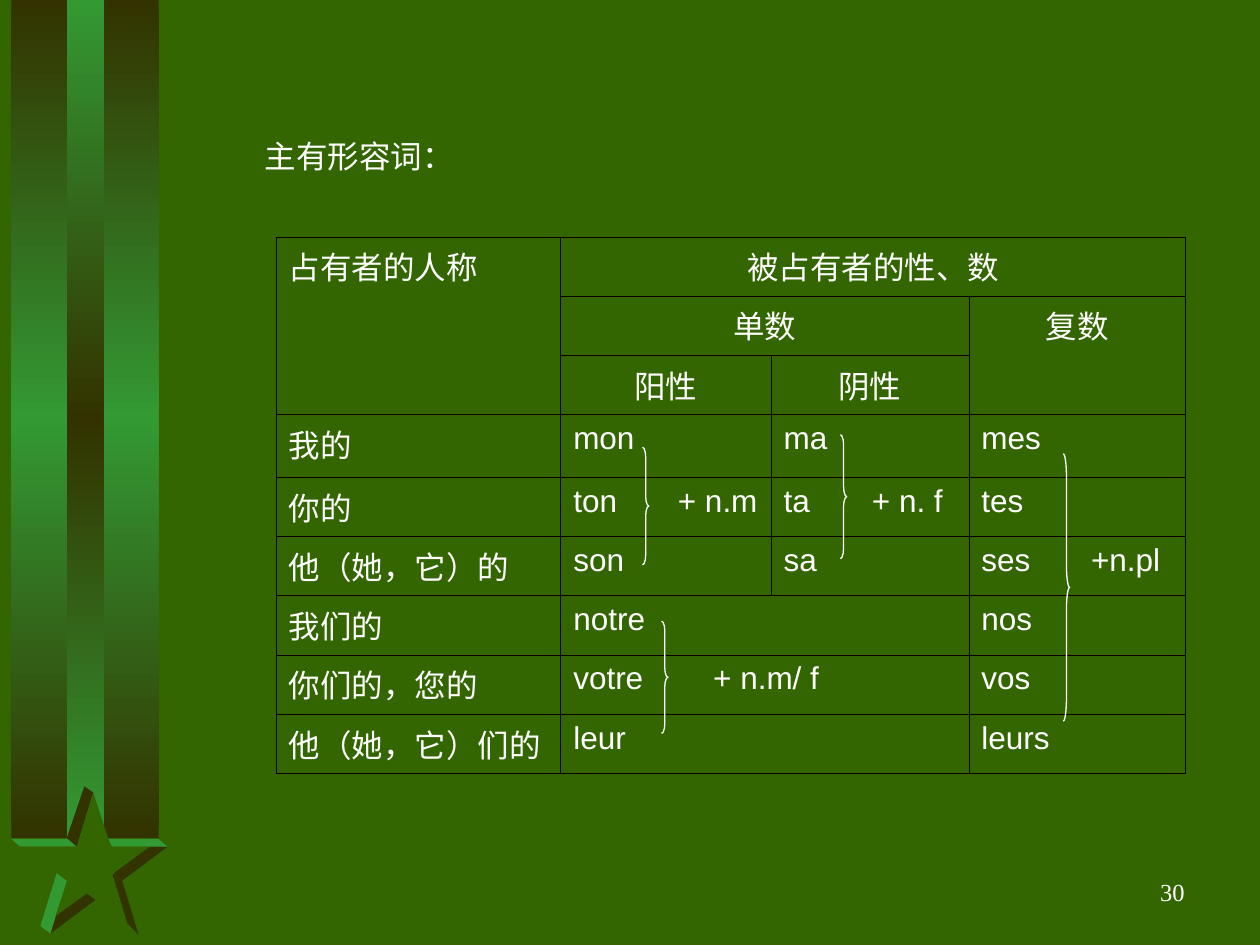
import copy

import lxml.etree
import pptx
import pptx.dml.color
import pptx.enum.shapes
import pptx.enum.text
import pptx.oxml.ns
import pptx.util

qn = pptx.oxml.ns.qn
SHAPE = pptx.enum.shapes.MSO_SHAPE
ALIGN = pptx.enum.text.PP_ALIGN
ANCHOR = pptx.enum.text.MSO_ANCHOR

GREEN, BROWN, LEAF = "336600", "333300", "339933"
WHITE, BLACK = "FFFFFF", "000000"
SERIF, SANS = "Times New Roman", "Arial"

STAR_GRID = (124, 118)
STAR_FACES = [
    (BROWN, [(81, 69), (88, 75), (124, 48), (110, 48)]),
    (LEAF, [(0, 42), (7, 48), (53, 48), (45, 42)]),
    (BROWN, [(52, 48), (65, 5), (58, 0), (44, 41)]),
    (LEAF, [(80, 48), (77, 42), (117, 42), (124, 48)]),
    (BROWN, [(24, 111), (31, 117), (67, 90), (60, 85)]),
    (BROWN, [(92, 109), (101, 118), (88, 75), (80, 69)]),
    (LEAF, [(31, 117), (44, 75), (36, 69), (23, 111)]),
    (GREEN, [(65, 5), (52, 48), (7, 48), (45, 75), (35, 103), (60, 85),
             (92, 109), (80, 70), (109, 48), (79, 48)]),
]

COLUMNS = [2.26, 1.67, 1.57, 1.72]
ROWS = [0.47] * 3 + [0.5] + [0.47] * 5
HEADER_ROWS = 3
CELLS = [
    ["占有者的人称", "被占有者的性、数", "", ""],
    ["", "单数", "", "复数"],
    ["", "阳性", "阴性", ""],
    ["我的", "mon", "ma", "mes"],
    ["你的", "ton\t+ n.m", "ta\t+ n. f", "tes"],
    ["他（她，它）的", "son", "sa", "ses\t+n.pl"],
    ["我们的", "notre", "", "nos"],
    ["你们的，您的", "votre\t+ n.m/ f", "", "vos"],
    ["他（她，它）们的", "leur", "", "leurs"],
]
MERGES = [((0, 0), (2, 0)), ((0, 1), (0, 3)), ((1, 1), (1, 2)), ((1, 3), (2, 3)),
          ((6, 1), (6, 2)), ((7, 1), (7, 2)), ((8, 1), (8, 2))]
TAB_STOPS = {(4, 1): 0.83, (4, 2): 0.7, (5, 3): 0.87, (7, 1): 1.11}
# left, top and height in percent of the table
BRACES = [(40.3, 39.2, 21.9), (62.05, 36.85, 23.1),
          (42.4, 71.6, 20.9), (86.55, 40.4, 49.8)]


def color(value):
    return pptx.dml.color.RGBColor.from_string(value)


def part(box, left, top, width, height):
    """Return the box lying inside another one, given in percent of it."""
    x, y, w, h = box
    return (round(x + w * left / 100), round(y + h * top / 100),
            round(w * width / 100), round(h * height / 100))


def add_text(p, text, size=18, font=SERIF, align=ALIGN.LEFT):
    p.alignment = align
    r = p.add_run()
    r.text = text
    r.font.size = pptx.util.Pt(size)
    r.font.name = font
    r.font.color.rgb = color(WHITE)


def add_stripe(s, box, edge, middle):
    sp = s.shapes.add_shape(SHAPE.RECTANGLE, *box)
    sp.shadow.inherit = False
    sp.line.fill.background()
    sp.fill.gradient()
    sp.fill.gradient_angle = 90
    stops = sp._element.spPr.find(".//" + qn("a:gsLst"))
    stops.append(copy.deepcopy(stops[0]))
    for stop, position, value in zip(sp.fill.gradient_stops, (0, 0.5, 1),
                                     (edge, middle, edge)):
        stop.position = position
        stop.color.rgb = color(value)


def add_star(s, box):
    x, y, w, h = box
    scale = (w / STAR_GRID[0], h / STAR_GRID[1])
    for value, points in STAR_FACES:
        builder = s.shapes.build_freeform(*points[0], scale=scale)
        builder.add_line_segments(points[1:], close=True)
        sp = builder.convert_to_shape(x, y)
        sp.shadow.inherit = False
        sp.fill.solid()
        sp.fill.fore_color.rgb = color(value)
        sp.line.fill.background()


def add_ribbon(s, box):
    add_stripe(s, part(box, 0.9, 0, 11.7, 88.67), BROWN, LEAF)
    add_stripe(s, part(box, 5.3, 0, 3, 88.67), LEAF, BROWN)
    add_star(s, part(box, 0.9, 83.2, 12.4, 15.73))


def add_dot(s, box):
    x, y, _, _ = box
    line = s.shapes.add_connector(pptx.enum.shapes.MSO_CONNECTOR.STRAIGHT, x, y, x, y)
    line.line.color.rgb = color(BLACK)
    line.line.width = pptx.util.Pt(1)
    lxml.etree.SubElement(line._element.spPr, qn("a:effectLst"))


def add_borders(cell):
    tcPr = cell._tc.get_or_add_tcPr()
    for side in ("a:lnL", "a:lnR", "a:lnT", "a:lnB"):
        ln = lxml.etree.SubElement(tcPr, qn(side), w=str(pptx.util.Pt(0.45)))
        fill = lxml.etree.SubElement(ln, qn("a:solidFill"))
        lxml.etree.SubElement(fill, qn("a:srgbClr"), val=BLACK)


def add_tab_stop(p, inches):
    tabs = lxml.etree.SubElement(p._p.get_or_add_pPr(), qn("a:tabLst"))
    lxml.etree.SubElement(tabs, qn("a:tab"), pos=str(pptx.util.Inches(inches)), algn="l")


def add_possessives_table(s, box):
    _, _, w, h = box
    table = s.shapes.add_table(len(ROWS), len(COLUMNS), *box).table
    table.first_row = table.horz_banding = False
    for column, share in zip(table.columns, COLUMNS):
        column.width = round(w * share / sum(COLUMNS))
    for row, share in zip(table.rows, ROWS):
        row.height = round(h * share / sum(ROWS))
    for first, last in MERGES:
        table.cell(*first).merge(table.cell(*last))
    for i, texts in enumerate(CELLS):
        for j, text in enumerate(texts):
            cell = table.cell(i, j)
            add_borders(cell)
            cell.fill.background()
            if not text:
                continue
            p = cell.text_frame.paragraphs[0]
            if (i, j) in TAB_STOPS:
                add_tab_stop(p, TAB_STOPS[i, j])
            header = i < HEADER_ROWS
            add_text(p, text, font=SERIF if header or j == 0 else SANS,
                     align=ALIGN.CENTER if header and j else ALIGN.LEFT)


def add_braces(s, box):
    for left, top, height in BRACES:
        x, y, w, h = part(box, left, top, 0.7, height)
        sp = s.shapes.add_shape(SHAPE.RIGHT_BRACE, x, y, w, h)
        sp.adjustments[0] = h / w / 12
        sp.shadow.inherit = False
        sp.fill.background()
        sp.line.color.rgb = color(WHITE)
        sp.line.width = pptx.util.Pt(0.75)


def set_heading(s, box):
    sp = s.shapes.title
    sp.left, sp.top, sp.width, sp.height = box
    tf = sp.text_frame
    tf.word_wrap = True
    tf.auto_size = pptx.enum.text.MSO_AUTO_SIZE.NONE
    tf.vertical_anchor = ANCHOR.TOP
    add_text(tf.paragraphs[0], "主有形容词：")


def add_page_number(s, box):
    tf = s.shapes.add_textbox(*box).text_frame
    tf.word_wrap = True
    tf.vertical_anchor = ANCHOR.MIDDLE
    add_text(tf.paragraphs[0], "30", size=14, align=ALIGN.RIGHT)


def main():
    prs = pptx.Presentation()
    prs.slide_width = pptx.util.Inches(10)
    prs.slide_height = pptx.util.Inches(7.5)
    page = (0, 0, prs.slide_width, prs.slide_height)
    s = prs.slides.add_slide(prs.slide_layouts.get_by_name("Title Only"))
    s.background.fill.solid()
    s.background.fill.fore_color.rgb = color(GREEN)

    table_box = part(page, 21.9, 25.07, 72.2, 56.8)
    add_ribbon(s, page)
    add_dot(s, part(page, 48, 36.4, 0, 0))
    add_possessives_table(s, table_box)
    set_heading(s, part(page, 20, 13.87, 46.8, 5.33))
    add_braces(s, table_box)
    add_page_number(s, part(page, 74.2, 91.07, 20.8, 6.67))
    prs.save("out.pptx")


if __name__ == "__main__":
    main()
